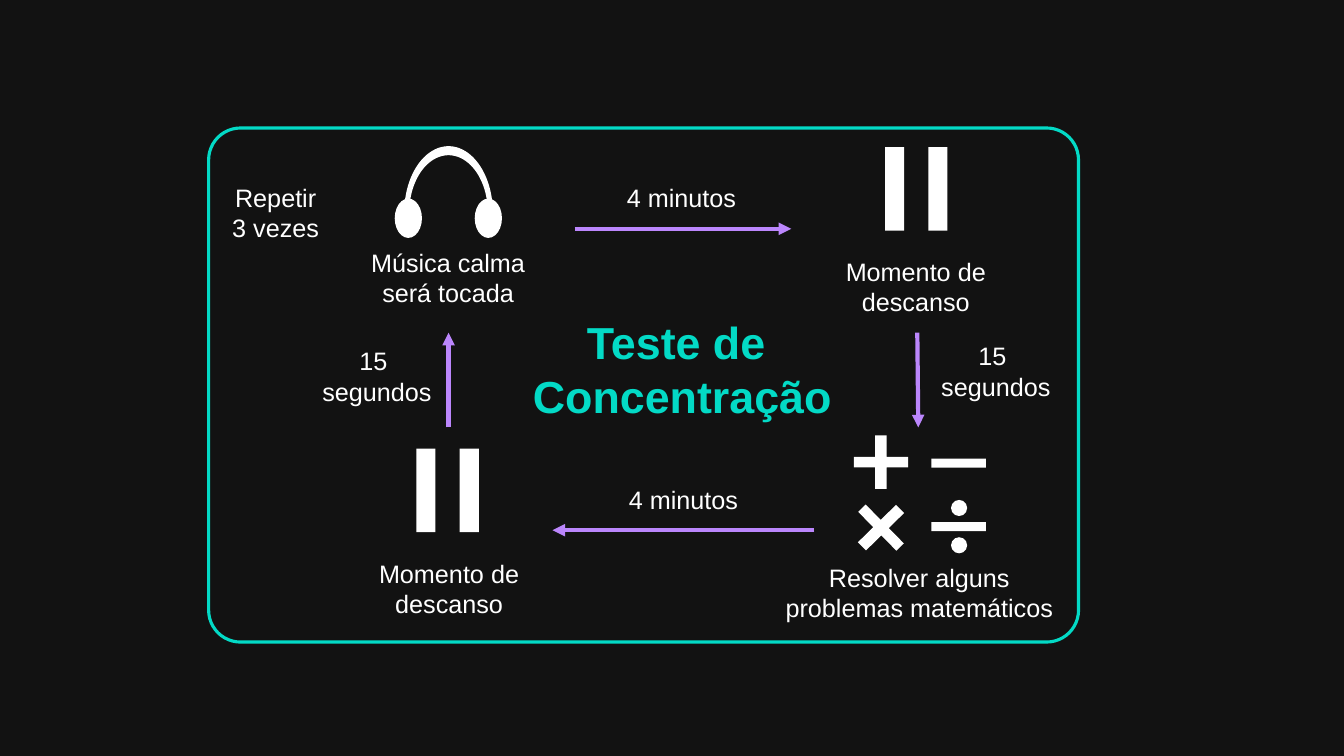
import math

import lxml.etree
import pptx
import pptx.dml.color
import pptx.enum.shapes
import pptx.enum.text
import pptx.oxml.ns
import pptx.util

BLACK = pptx.dml.color.RGBColor(0x12, 0x12, 0x12)
WHITE = pptx.dml.color.RGBColor(0xFF, 0xFF, 0xFF)
TEAL = pptx.dml.color.RGBColor(0x03, 0xDA, 0xC6)
PURPLE = pptx.dml.color.RGBColor(0xBB, 0x86, 0xFC)

FONT = "Arial"
CELL = pptx.util.Inches(0.1)  # one column wide, one row high
COLUMNS, ROWS = 133.33, 75
SHAPE = pptx.enum.shapes.MSO_SHAPE
ALIGN = pptx.enum.text.PP_ALIGN


def cells(*counts):
    return [round(count * CELL) for count in counts]


class Diagram:
    """Draws on one slide; every length is in columns and rows."""

    def __init__(self, page):
        self.page = page
        page.background.fill.solid()
        page.background.fill.fore_color.rgb = BLACK

    def solid(self, shape):
        shape.shadow.inherit = False
        shape.fill.solid()
        shape.fill.fore_color.rgb = WHITE
        shape.line.fill.background()

    def icon_part(self, kind, left, top, width, height):
        shape = self.page.shapes.add_shape(kind, *cells(left, top, width, height))
        self.solid(shape)
        return shape

    def frame(self, left, top, width, height):
        frame = self.page.shapes.add_shape(
            SHAPE.ROUNDED_RECTANGLE, *cells(left, top, width, height))
        frame.adjustments[0] = 0.062
        frame.shadow.inherit = False
        frame.fill.background()
        frame.line.color.rgb = TEAL
        frame.line.width = pptx.util.Pt(2.25)

    def text(self, lines, left, top, width, height=7.1, size=18, color=WHITE,
             bold=False, align=ALIGN.CENTER, wrap=True):
        box = self.page.shapes.add_textbox(*cells(left, top, width, height))
        box.text_frame.word_wrap = wrap
        box.text_frame.text = "\n".join(lines)
        for para in box.text_frame.paragraphs:
            para.alignment = align
            para.font.name = FONT
            para.font.size = pptx.util.Pt(size)
            para.font.bold = bold
            para.font.color.rgb = color

    def arrow(self, *ends):
        arrow = self.page.shapes.add_connector(
            pptx.enum.shapes.MSO_CONNECTOR.STRAIGHT, *cells(*ends))
        arrow.line.color.rgb = PURPLE
        arrow.line.width = pptx.util.Pt(3)
        name = pptx.oxml.ns.qn
        lxml.etree.SubElement(arrow.line._get_or_add_ln(), name("a:tailEnd"),
                              type="triangle")
        lxml.etree.SubElement(arrow._element.spPr, name("a:effectLst"))

    def pause(self, left, top):
        for offset in (0, 4.3):
            self.icon_part(SHAPE.RECTANGLE, left + offset, top, 1.9, 8.3)

    def headphones(self, center, base):
        """Draws a half-ring band standing on base, then the two ear pads."""
        def arc(radius_x, radius_y):
            angles = [math.radians(degrees) for degrees in range(0, 181, 4)]
            return [cells(center + radius_x * math.cos(angle),
                          base - radius_y * math.sin(angle)) for angle in angles]

        points = arc(4.4, 6.6) + arc(3.9, 5.7)[::-1]
        builder = self.page.shapes.build_freeform(*points[0])
        builder.add_line_segments(points[1:], close=True)
        self.solid(builder.convert_to_shape())
        for side in (-1, 1):
            self.icon_part(SHAPE.OVAL, center + side * 3.97 - 1.37, base - 1.4, 2.7, 3.9)

    def math_signs(self, left, top):
        for offset, rotation in ((0, 0), (6.5, 45.5)):
            sign = self.icon_part(SHAPE.CROSS, left, top + offset, 5.4, 5.3)
            sign.adjustments[0] = 0.402
            sign.rotation = rotation
        for offset in (2.3, 8.6):
            self.icon_part(SHAPE.RECTANGLE, left + 7.7, top + offset, 5.4, 0.9)
        for offset in (6.4, 10.1):
            self.icon_part(SHAPE.OVAL, left + 9.65, top + offset, 1.6, 1.6)


def main():
    deck = pptx.Presentation()
    deck.slide_width, deck.slide_height = cells(COLUMNS, ROWS)
    diagram = Diagram(deck.slides.add_slide(deck.slide_layouts[6]))

    diagram.frame(20.7, 12.7, 86.3, 51)
    diagram.text(["Teste de ", "Concentração"], 51.3, 30.7, 32.8, 11.8,
                 size=32, color=TEAL, bold=True)
    diagram.text(["Repetir", "3 vezes"], 22, 17.6, 10.7, wrap=False)

    diagram.headphones(44.5, 21.1)
    diagram.text(["Música calma", "será tocada"], 32, 24, 24.9)
    diagram.math_signs(84.7, 43.2)
    diagram.text(["Resolver alguns", "problemas matemáticos"], 76.4, 55.3, 29.6)

    for icon_left, icon_top, text_left, text_top in (
            (87.8, 14.6, 78.4, 24.9), (41.3, 44.5, 32.1, 54.9)):
        diagram.pause(icon_left, icon_top)
        diagram.text(["Momento de", "descanso"], text_left, text_top, 24.9)

    for left, top in ((61.2, 17.6), (61.4, 47.6)):
        diagram.text(["4 minutos"], left, top, 13, align=ALIGN.LEFT, wrap=False)
    for left, top in ((30.2, 33.8), (91.6, 33.3)):
        diagram.text(["15 ", "segundos"], left, top, 14.4)

    for ends in ((57, 22.7, 78.5, 22.7), (91, 33, 91.1, 42.4),
                 (80.8, 52.6, 54.8, 52.6), (44.5, 42.4, 44.5, 33)):
        diagram.arrow(*ends)

    deck.save("out.pptx")


if __name__ == "__main__":
    main()
